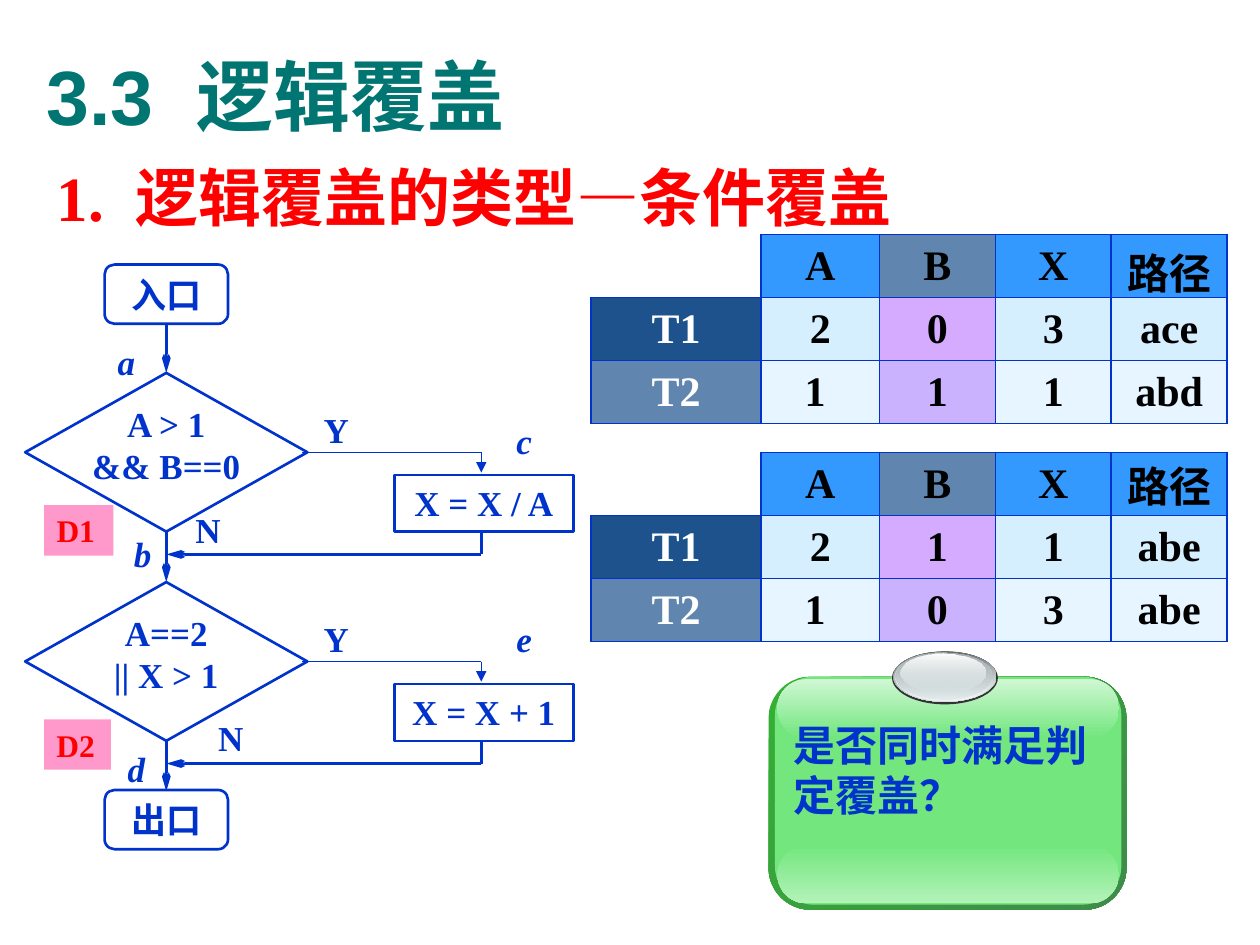
from pptx import Presentation
from pptx import util as u
from pptx.dml.color import RGBColor
from pptx.enum import shapes, text
from pptx.oxml.ns import qn
from lxml import etree

PX = 9144  # one px is a hundredth of an inch
SHAPE, ALIGN, ANCHOR = shapes.MSO_SHAPE, text.PP_ALIGN, text.MSO_ANCHOR
SERIF, SANS = "Times New Roman", "Arial"
THEME = dict(teal="007572", red="FF0000", blue="0033CC", black="000000",
             white="FFFFFF", pink="FF99CC", title=44, heading=36, body=24,
             flow=20, tag=18)

# ---- Content ----
# Text runs: (text, font, extra letter spacing in points)
TITLE = [("3.3", SANS, 0), (" ", SANS, 12), ("逻辑覆盖", SANS, 0)]
HEADING = [("1.", SERIF, 0), (" ", SERIF, 9), ("逻辑覆盖的类型", SANS, 0),
           ("—", SERIF, 0), ("条件覆盖", SANS, 0)]
QUESTION = "是否同时满足判定覆盖？"

HEADER = ["", "A", "B", "X", "路径"]
TABLES = [  # top, header cell top and bottom margin, test rows
    (186, 5, [["T1", "2", "0", "3", "ace"], ["T2", "1 ", "1", "1", "abd"]]),
    (359, 0, [["T1", "2", "1", "1", "abe"], ["T2", "1 ", "0", "3", "abe"]]),
]
COLUMNS = [135, 94, 92, 92, 92]
SKY, SLATE = ("3399FF", 100), ("1D528D", 70)
ICE, FROST = ("CCECFF", 80), ("CCECFF", 48)
ROW_FILLS = [[None, SKY, SLATE, SKY, SKY],
             [("1D528D", 100), ICE, ("CC99FF", 82), ICE, ICE],
             [SLATE, FROST, ("9966FF", 50), FROST, FROST]]

TERMINALS = [("入口", 210), ("出口", 627)]
DECISIONS = [  # condition, action, top of the diamond
    (["A > 1", "&& B==0"], "X = X / A", 296),
    (["A==2", "|| X > 1"], "X = X + 1", 462),
]
BRANCH_LABELS = [("N", 143, 399), ("N", 161, 564)]
PATH_LABELS = [("a", 75, 265), ("b", 88, 418), ("c", 390, 328),
               ("d", 83, 588), ("e", 390, 485)]
TAGS = [("D1", 35, 401, 55, 40), ("D2", 35, 571, 53, 40)]

# Note card, back to front: shape, place, corner, colour stops, angle
ROUND, OVAL = SHAPE.ROUNDED_RECTANGLE, SHAPE.OVAL
NOTE = [
    (ROUND, (610, 537, 284, 185), 0.18, [("34B034", 100), ("3F8B4A", 100)], 45),
    (ROUND, (615, 537, 275, 181), 0.17, [("73E77E", 100)], 0),
    (ROUND, (617, 671, 271, 46), 0.5, [("73E77E", 100), ("B3F2B9", 100)], 90),
    (ROUND, (617, 539, 271, 46), 0.5, [("D0F7D4", 100), ("73E77E", 100)], 90),
    (OVAL, (708, 517, 84, 42), None, [("333333", 100)], 0),
    (OVAL, (709, 517, 82, 40), None, [("636869", 100), ("D6E1E2", 100)], 90),
    (OVAL, (710, 517, 80, 39), None, [("D6E1E2", 0), ("F1F5F5", 100)], 90),
    (OVAL, (711, 518, 76, 37), None, [("AAB2B3", 100), ("D6E1E2", 48)], 90),
    (OVAL, (715, 519, 67, 30), None, [("FFFFFF", 100), ("D6E1E2", 38)], 90),
]


# ---- Helpers ----
def emu(*lengths):
    return [round(length * PX) for length in lengths]


def paint(fill, element, stops, angle=0):
    """Fill with one colour or a gradient of (colour, opacity) stops."""
    if not stops:
        fill.background()
        return
    if len(stops) == 1:
        fill.solid()
        fill.fore_color.rgb = RGBColor.from_string(stops[0][0])
    else:
        fill.gradient()
        fill.gradient_angle = 360 - angle
        for place, (stop, (color, _)) in enumerate(zip(fill.gradient_stops, stops)):
            stop.color.rgb = RGBColor.from_string(color)
            stop.position = place
    for color, (_, opacity) in zip(element.iter(qn("a:srgbClr")), stops):
        if opacity < 100:
            etree.SubElement(color, qn("a:alpha"), val=str(opacity * 1000))


def write(frame, lines, size, color, align=ALIGN.LEFT, italic=None, **frame_format):
    """Each line is a string or a list of (text, font, spacing) runs."""
    for name, value in {"word_wrap": True, **frame_format}.items():
        setattr(frame, name, value)
    for index, line in enumerate(lines):
        paragraph = frame.add_paragraph() if index else frame.paragraphs[0]
        paragraph.alignment = align
        for words, font, spacing in [(line, SERIF, 0)] if isinstance(line, str) else line:
            run = paragraph.add_run()
            run.text = words
            look = dict(name=font, size=u.Pt(size), bold=True, italic=italic)
            for name, value in look.items():
                setattr(run.font, name, value)
            run.font.color.rgb = RGBColor.from_string(color)
            if spacing:
                run.font._element.set("spc", str(spacing * 100))


def add_text(slide, place, lines, size, color, **look):
    box = slide.shapes.add_textbox(*emu(*place))
    write(box.text_frame, lines, size, color, **look)
    return box


def add_box(slide, kind, place, stops=(), angle=0, outlined=False):
    box = slide.shapes.add_shape(kind, *emu(*place))
    box.shadow.inherit = False
    paint(box.fill, box._element.spPr, stops, angle)
    if outlined:
        box.line.color.rgb = RGBColor.from_string(THEME["blue"])
        box.line.width = u.Pt(1.5)
    else:
        box.line.fill.background()
    return box


def add_line(slide, start, end, head=None, width=1.5):
    line = slide.shapes.add_connector(shapes.MSO_CONNECTOR.STRAIGHT, *emu(*start, *end))
    line.line.color.rgb = RGBColor.from_string(THEME["blue"])
    line.line.width = u.Pt(width)
    if head:
        wide, long = ("sm", "lg") if head == "arrow" else ("med", "med")
        etree.SubElement(line.line._get_or_add_ln(), qn("a:tailEnd"),
                         type=head, w=wide, len=long)
    etree.SubElement(line._element.spPr, qn("a:effectLst"))


def add_borders(cell, visible):
    for index, side in enumerate("LRTB"):
        border = etree.Element(qn(f"a:ln{side}"), w="12700")
        if side in visible:
            solid = etree.SubElement(border, qn("a:solidFill"))
            etree.SubElement(solid, qn("a:srgbClr"), val=THEME["blue"])
        else:
            etree.SubElement(border, qn("a:noFill"))
        cell._tc.get_or_add_tcPr().insert(index, border)


# ---- Parts of the slide ----
def add_test_table(slide, top, margin, tests):
    table = slide.shapes.add_table(3, 5, *emu(469, top, sum(COLUMNS), 150)).table
    table.first_row = table.horz_banding = False
    for column, width in zip(table.columns, COLUMNS):
        column.width = width * PX
    for r, (words, fills) in enumerate(zip([HEADER] + tests, ROW_FILLS)):
        for c, (word, fill) in enumerate(zip(words, fills)):
            cell = table.cell(r, c)
            cell.vertical_anchor = ANCHOR.MIDDLE
            if r == 0:
                cell.margin_top = cell.margin_bottom = margin * PX
            paint(cell.fill, cell._tc.get_or_add_tcPr(), [fill] if fill else [])
            add_borders(cell, "LRTB" if fill else "RB")
            if word:
                color = THEME["black"] if c else THEME["white"]
                write(cell.text_frame, [word], THEME["body"], color, ALIGN.CENTER)


def add_note(slide):
    for kind, place, corner, stops, angle in NOTE:
        layer = add_box(slide, kind, place, stops, angle)
        if corner:
            layer.adjustments[0] = corner
    add_text(slide, (620, 566, 270, 90), [QUESTION], THEME["body"], THEME["blue"])


def add_flowchart(slide):
    axis, action_axis = 132, 382
    style = dict(size=THEME["flow"], color=THEME["blue"])
    for name, top in TERMINALS:
        box = add_box(slide, SHAPE.FLOWCHART_ALTERNATE_PROCESS,
                      (83, top, 98, 47), outlined=True)
        write(box.text_frame, [name], align=ALIGN.CENTER, word_wrap=False,
              vertical_anchor=ANCHOR.MIDDLE, **style)
    add_line(slide, (axis, 257), (axis, 296), "arrow")
    for condition, action, top in DECISIONS:
        middle, bottom = top + 63, top + 126
        diamond = add_box(slide, SHAPE.FLOWCHART_DECISION, (20, top, 224, 126), outlined=True)
        insets = dict(margin_left=2 * PX, margin_top=PX, margin_right=2 * PX,
                      margin_bottom=13 * PX)
        write(diamond.text_frame, condition, align=ALIGN.CENTER, word_wrap=False,
              vertical_anchor=ANCHOR.MIDDLE, **insets, **style)
        step = add_box(slide, SHAPE.RECTANGLE, (313, top + 81, 142, 45), outlined=True)
        write(step.text_frame, [action], align=ALIGN.CENTER,
              vertical_anchor=ANCHOR.TOP, **style)
        add_text(slide, (238, top + 23, 58, 43), ["Y"], align=ALIGN.CENTER, **style)
        # Yes branch, way back and way down
        add_line(slide, (240, middle), (action_axis, middle), width=0.75)
        add_line(slide, (action_axis, middle), (action_axis, top + 79), "triangle", 0.75)
        add_line(slide, (action_axis, bottom), (action_axis, bottom + 18))
        add_line(slide, (action_axis, bottom + 18), (axis, bottom + 18), "arrow")
        add_line(slide, (axis, bottom), (axis, bottom + 40), "arrow")
    for labels, italic in ((BRANCH_LABELS, None), (PATH_LABELS, True)):
        for name, left, top in labels:
            add_text(slide, (left, top, 42, 43), [name], align=ALIGN.RIGHT,
                     italic=italic, **style)
    for name, *place in TAGS:
        tag = add_box(slide, SHAPE.RECTANGLE, place, [(THEME["pink"], 100)])
        write(tag.text_frame, [name], THEME["tag"], THEME["red"],
              vertical_anchor=ANCHOR.TOP)


def main():
    deck = Presentation()
    deck.slide_width, deck.slide_height = emu(1000, 750)
    slide = deck.slides.add_slide(deck.slide_layouts[5])
    title = slide.shapes.title
    title.left, title.top, title.width, title.height = emu(27, 13, 934, 125)
    write(title.text_frame, [TITLE], THEME["title"], THEME["teal"],
          vertical_anchor=ANCHOR.MIDDLE, auto_size=text.MSO_AUTO_SIZE.NONE)
    heading = add_text(slide, (35, 115, 921, 87), [HEADING], THEME["heading"],
                       THEME["red"], align=ALIGN.JUSTIFY)
    heading.text_frame.paragraphs[0].line_spacing = 1.1
    for top, margin, tests in TABLES:
        add_test_table(slide, top, margin, tests)
    add_note(slide)
    add_flowchart(slide)
    deck.save("out.pptx")


if __name__ == "__main__":
    main()
